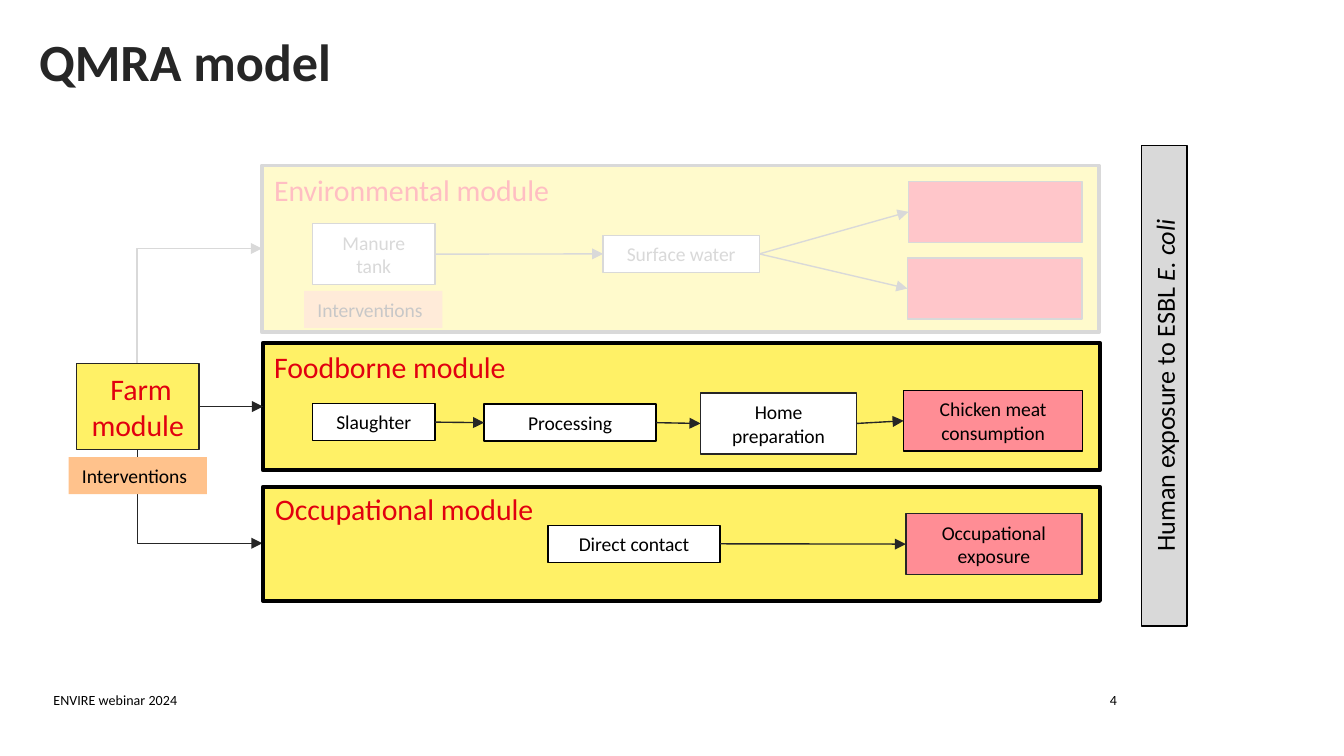
from lxml import etree
from pptx import Presentation
from pptx import util as u
from pptx.dml.color import RGBColor
from pptx.enum import shapes, text
from pptx.oxml import ns

COLORS = {
    "black": "000000", "dark": "262626", "grey": "D9D9D9", "mid grey": "C8C8C8",
    "white": "FFFFFF", "yellow": "FFF166", "pale yellow": "FFFACC", "red": "E1000F",
    "pink": "FF8D95", "pale pink": "FFC6CA", "rose": "FFBEC3",
    "orange": "FFC28C", "pale orange": "FFEBD9",
}
CENTER, LEFT, RIGHT = text.PP_ALIGN.CENTER, text.PP_ALIGN.LEFT, text.PP_ALIGN.RIGHT

deck = Presentation()
deck.slide_width, deck.slide_height = u.Cm(25.4), u.Cm(14.29)
page = deck.slides.add_slide(deck.slide_layouts[6])


def write(box, words, size, color, align=LEFT):
    frame = box.text_frame
    frame.word_wrap = True
    para = frame.paragraphs[0]
    para.alignment = align
    for part in words.split("|"):
        span = para.add_run()
        span.text = part
        span.font.size = u.Pt(size)
        span.font.name = "Calibri"
        span.font.color.rgb = RGBColor.from_string(COLORS[color])
    return para


def style_arrow(arrow, color):
    arrow.line.color.rgb = RGBColor.from_string(COLORS[color])
    arrow.line.width = u.Pt(0.75)
    line = arrow.line._get_or_add_ln()
    etree.SubElement(line, ns.qn("a:tailEnd"), type="triangle")
    etree.SubElement(arrow._element.spPr, ns.qn("a:effectLst"))


# Title, footer and page number
for words, left, top, width, height, size, color, align in [
    ("QMRA model", 0.74, 0.69, 22.66, 1.78, 28, "dark", LEFT),
    ("ENVIRE webinar 2024", 0.76, 12.95, 8.59, 0.58, 7.5, "black", LEFT),
    ("4", 17.6, 12.95, 3.76, 0.58, 7.5, "black", RIGHT),
]:
    box = page.shapes.add_textbox(u.Cm(left), u.Cm(top), u.Cm(width), u.Cm(height))
    para = write(box, words, size, color, align)
    if words == "QMRA model":
        para.line_spacing = 0.9
        para.runs[0].font.bold = True
        frame = box.text_frame
        frame.margin_left = frame.margin_right = frame.margin_top = frame.margin_bottom = 0

# Elbow arrows from the farm: the frame is given before its quarter turn
for begin_x, begin_y, end_x, end_y, turn, color in [
    (4.67, 8.2, 2.89, 10.56, 270, "dark"),
    (4.86, 6.97, 2.68, 4.61, 90, "grey"),
]:
    elbow = page.shapes.add_connector(
        shapes.MSO_CONNECTOR.ELBOW, u.Cm(begin_x), u.Cm(begin_y), u.Cm(end_x), u.Cm(end_y))
    elbow._element.spPr.find(ns.qn("a:prstGeom")).set("prst", "bentConnector2")
    elbow._element.spPr.find(ns.qn("a:xfrm")).set("rot", str(turn * 60000))
    style_arrow(elbow, color)

# Boxes: key, words, left, top, width, height, fill, line, line width, size, text color
boxes = {}
for key, words, left, top, width, height, fill, line, weight, size, color in [
    ("environmental", "", 4.95, 3.13, 15.82, 3.15, "pale yellow", "grey", 2, 16, "grey"),
    ("foodborne", "", 4.97, 6.48, 15.82, 2.41, "yellow", "black", 2, 16, "red"),
    ("occupational", "", 4.97, 9.2, 15.82, 2.16, "yellow", "black", 2, 16, "red"),
    ("farm", " Farm module", 1.45, 6.87, 2.31, 1.63, "yellow", "dark", 0.75, 16, "red"),
    ("farm measures", "Interventions", 1.3, 8.64, 2.61, 0.7, "orange", None, 0, 10.5, "black"),
    ("manure", "Manure tank", 5.91, 4.23, 2.31, 1.15, "white", "grey", 0.75, 10.5, "grey"),
    ("manure measures", "Interventions", 5.75, 5.5, 2.61, 0.7, "pale orange", None, 0, 10.5, "mid grey"),
    ("water", "Surface water", 11.4, 4.45, 2.95, 0.7, "white", "grey", 0.75, 10.5, "grey"),
    ("recreation", "", 17.17, 3.43, 3.28, 1.15, "pale pink", "grey", 0.75, 10.5, "grey"),
    ("produce", "", 17.15, 4.88, 3.3, 1.15, "pale pink", "grey", 0.75, 10.5, "grey"),
    ("slaughter", "Slaughter", 5.91, 7.63, 2.31, 0.7, "white", "black", 0.75, 10.5, "black"),
    ("processing", "Processing", 9.15, 7.64, 3.25, 0.7, "white", "black", 0.75, 10.5, "black"),
    ("home", "Home preparation", 13.24, 7.43, 2.95, 1.15, "white", "dark", 0.75, 10.5, "black"),
    ("chicken", "Chicken meat consumption", 17.08, 7.38, 3.38, 1.15, "pink", "black", 0.75, 10.5, "black"),
    ("contact", "Direct contact", 10.36, 9.93, 3.25, 0.7, "white", "black", 0.75, 10.5, "black"),
    ("work", "Occupational exposure", 17.12, 9.71, 3.33, 1.15, "pink", "dark", 0.75, 10.5, "black"),
    ("human", "Human exposure to ESBL |E. coli", 17.46, 6.86, 9.09, 0.86, "grey", "black", 0.75, 14, "black"),
]:
    box = page.shapes.add_shape(
        shapes.MSO_SHAPE.RECTANGLE, u.Cm(left), u.Cm(top), u.Cm(width), u.Cm(height))
    box.shadow.inherit = False
    box.fill.solid()
    box.fill.fore_color.rgb = RGBColor.from_string(COLORS[fill])
    if line:
        box.line.color.rgb = RGBColor.from_string(COLORS[line])
        box.line.width = u.Pt(weight)
    else:
        box.line.fill.background()
    if words:
        write(box, words, size, color, LEFT if words == "Interventions" else CENTER)
    boxes[key] = box

# Exposure bar reads upwards and ends in italics
boxes["human"].rotation = 270
boxes["human"].text_frame.paragraphs[0].runs[1].font.italic = True

# Module headings
for words, left, top, color in [
    ("Environmental module", 4.93, 3.13, "rose"),
    ("Foodborne module", 4.93, 6.47, "red"),
    ("Occupational module", 4.95, 9.15, "red"),
]:
    heading = page.shapes.add_textbox(u.Cm(left), u.Cm(top), u.Cm(8.2), u.Cm(0.94))
    write(heading, words, 16, color)

# Straight arrows, from the right side of one box to the left side of the next
for start, end, color in [
    ("farm", "foodborne", "dark"),
    ("slaughter", "processing", "dark"),
    ("processing", "home", "dark"),
    ("home", "chicken", "dark"),
    ("contact", "work", "dark"),
    ("manure", "water", "grey"),
    ("water", "recreation", "grey"),
    ("water", "produce", "grey"),
]:
    arrow = page.shapes.add_connector(shapes.MSO_CONNECTOR.STRAIGHT, 0, 0, 0, 0)
    arrow.begin_connect(boxes[start], 3)
    arrow.end_connect(boxes[end], 1)
    style_arrow(arrow, color)

deck.save("out.pptx")
